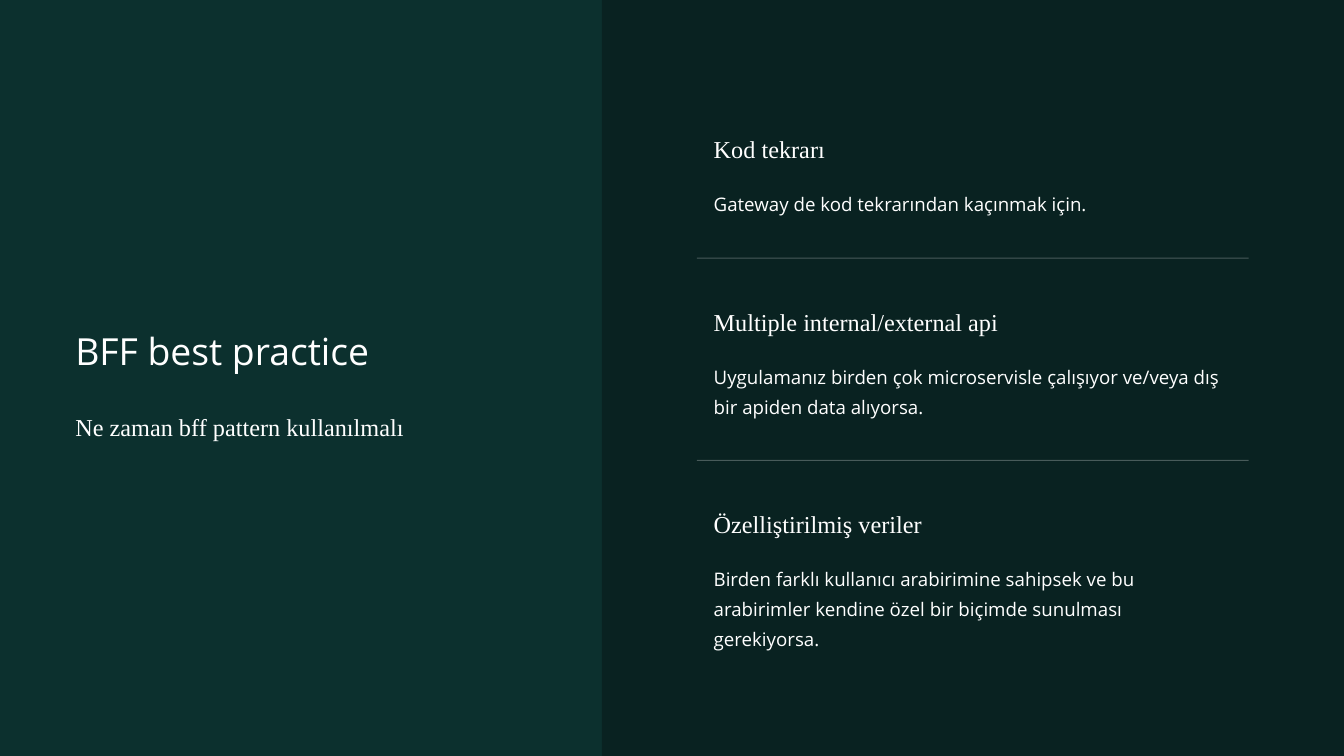
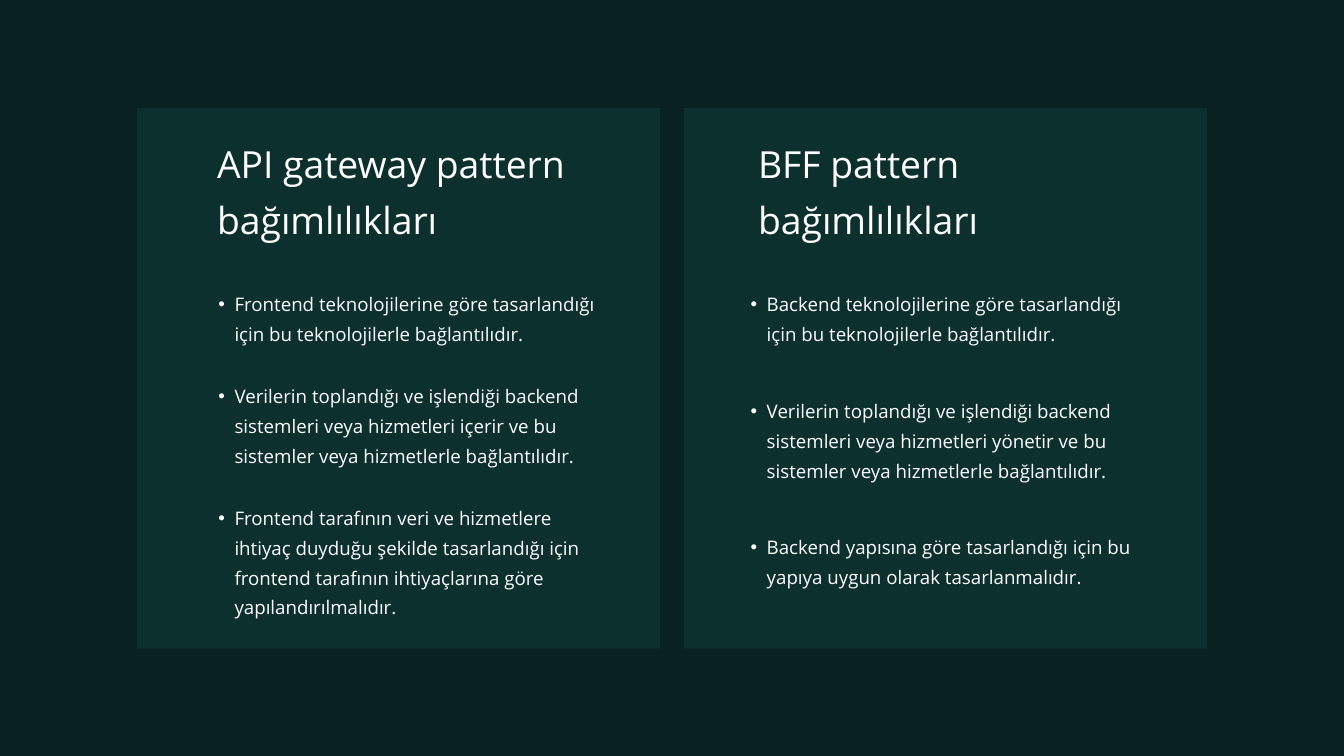
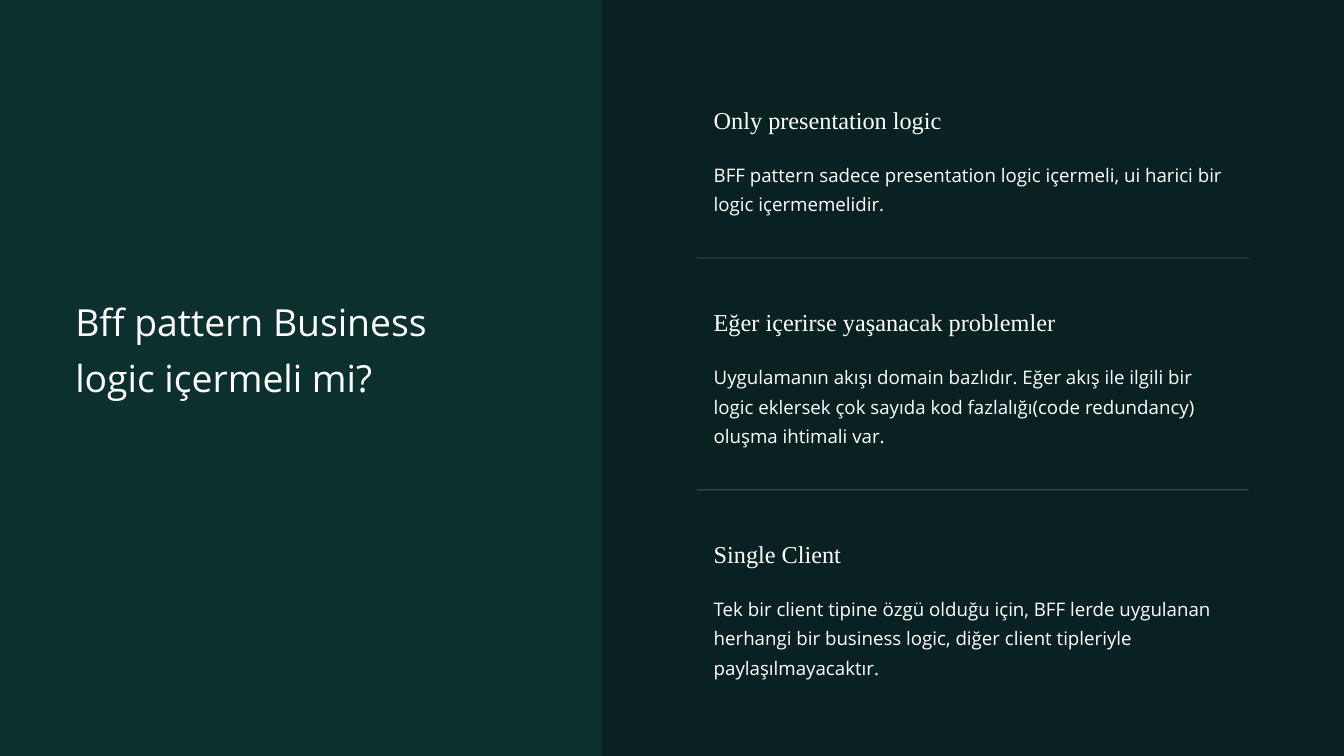
"""Build three slides on the BFF pattern: two split lists and one comparison."""
import dataclasses

import lxml.etree
import pptx
import pptx.dml.color
import pptx.enum.shapes
import pptx.enum.text
import pptx.oxml.ns
import pptx.util

Pt = pptx.util.Pt
qn = pptx.oxml.ns.qn


@dataclasses.dataclass
class Theme:
    dark = pptx.dml.color.RGBColor.from_string("092221")
    green = pptx.dml.color.RGBColor.from_string("0C302E")
    white = pptx.dml.color.RGBColor.from_string("FFFFFF")
    title = ("Open Sans", 40, 60)
    sub = ("Times New Roman", 26, 39)
    head = ("Times New Roman", 26, 36.4)
    body = ("Open Sans", 20, 32)


def panel(slide, left, top, width, height, fill):
    box = slide.shapes.add_shape(pptx.enum.shapes.MSO_SHAPE.RECTANGLE,
                                 Pt(left), Pt(top), Pt(width), Pt(height))
    box.shadow.inherit = False
    box.fill.solid()
    box.fill.fore_color.rgb = fill
    box.line.fill.background()


def write(slide, text, style, left, top, width, height, bullet=False):
    font, size, pitch = style
    frame = slide.shapes.add_textbox(Pt(left), Pt(top), Pt(width), Pt(height)).text_frame
    frame.margin_left = frame.margin_right = frame.margin_top = frame.margin_bottom = 0
    frame.word_wrap = True
    frame.auto_size = pptx.enum.text.MSO_AUTO_SIZE.SHAPE_TO_FIT_TEXT
    para = frame.paragraphs[0]
    para.line_spacing = Pt(pitch)
    if bullet:
        para.level = 1
        props = para._p.get_or_add_pPr()
        props.set("marL", str(Pt(33.84)))
        props.set("indent", str(-Pt(17.28)))
        lxml.etree.SubElement(props, qn("a:buFont")).set("typeface", "Arial")
        lxml.etree.SubElement(props, qn("a:buChar")).set("char", "•")
    run = para.add_run()
    run.text = text
    run.font.name = font
    run.font.size = Pt(size)
    run.font.color.rgb = Theme.white


splits = [
    {"title": ("BFF best practice", 339.12, 55.44),
     "sub": "Ne zaman bff pattern kullanılmalı",
     "top": 138.96,
     "items": [
         ("Kod tekrarı", "Gateway de kod tekrarından kaçınmak için.", 1),
         ("Multiple internal/external api",
          "Uygulamanız birden çok microservisle çalışıyor ve/veya dış bir apiden data alıyorsa.", 2),
         ("Özelliştirilmiş veriler",
          "Birden farklı kullanıcı arabirimine sahipsek ve bu arabirimler kendine özel "
          "bir biçimde sunulması gerekiyorsa.", 3)]},
    {"title": ("Bff pattern Business logic içermeli mi?", 308.88, 115.2),
     "sub": None,
     "top": 107.28,
     "items": [
         ("Only presentation logic",
          "BFF pattern sadece presentation logic içermeli, ui harici bir logic içermemelidir.", 2),
         ("Eğer içerirse yaşanacak problemler",
          "Uygulamanın akışı domain bazlıdır. Eğer akış ile ilgili bir logic eklersek çok "
          "sayıda kod fazlalığı(code redundancy) oluşma ihtimali var.", 3),
         ("Single Client",
          "Tek bir client tipine özgü olduğu için, BFF lerde uygulanan herhangi bir business "
          "logic, diğer client tipleriyle paylaşılmayacaktır.", 3)]},
]

cards = [
    {"left": 146.88, "title": ("API gateway pattern bağımlılıkları", 232.56),
     "list": 217.44, "gap": 38.16,
     "items": [
         ("Frontend teknolojilerine göre tasarlandığı için bu teknolojilerle bağlantılıdır.", 2),
         ("Verilerin toplandığı ve işlendiği backend sistemleri veya hizmetleri içerir ve bu "
          "sistemler veya hizmetlerle bağlantılıdır.", 3),
         ("Frontend tarafının veri ve hizmetlere ihtiyaç duyduğu şekilde tasarlandığı için "
          "frontend tarafının ihtiyaçlarına göre yapılandırılmalıdır.", 4)]},
    {"left": 732.96, "title": ("BFF pattern bağımlılıkları", 812.16),
     "list": 787.68, "gap": 54,
     "items": [
         ("Backend teknolojilerine göre tasarlandığı için bu teknolojilerle bağlantılıdır.", 2),
         ("Verilerin toplandığı ve işlendiği backend sistemleri veya hizmetleri yönetir ve bu "
          "sistemler veya hizmetlerle bağlantılıdır.", 3),
         ("Backend yapısına göre tasarlandığı için bu yapıya uygun olarak tasarlanmalıdır.", 2)]},
]

deck = pptx.Presentation()
deck.slide_width, deck.slide_height = Pt(1440), Pt(810)
first, pair, last = [deck.slides.add_slide(deck.slide_layouts[6]) for _ in range(3)]
for slide, color in ((first, Theme.green), (pair, Theme.dark), (last, Theme.green)):
    slide.background.fill.solid()
    slide.background.fill.fore_color.rgb = color

for slide, split in zip((first, last), splits):
    panel(slide, 645, 0, 795, 810, Theme.dark)
    top = split["top"]
    for row, (head, body, lines) in enumerate(split["items"]):
        if row:
            rule = slide.shapes.add_connector(pptx.enum.shapes.MSO_CONNECTOR.STRAIGHT,
                                              Pt(746.64), Pt(top - 47.5),
                                              Pt(1337.76), Pt(top - 47.5))
            rule.line.width = Pt(1)
            rule.line.color.rgb = Theme.white
            tint = rule._element.spPr.find(".//" + qn("a:srgbClr"))
            lxml.etree.SubElement(tint, qn("a:alpha")).set("val", "25000")
            lxml.etree.SubElement(rule._element.spPr, qn("a:effectLst"))
        write(slide, head, Theme.head, 764.64, top, 555.84, 33.84)
        write(slide, body, Theme.body, 764.64, top + 59.76, 555.84, 31.5 * lines - 2.5)
        top += 153.4 + 31.65 * lines
    if split["sub"]:
        write(slide, split["sub"], Theme.sub, 80.64, 433.44, 469.44, 36)
    title, top, height = split["title"]
    write(slide, title, Theme.title, 80.64, top, 469.44, height)

for card in cards:
    panel(pair, card["left"], 115.92, 560.16, 578.88, Theme.green)
    title, left = card["title"]
    write(pair, title, Theme.title, left, 138.96, 388.08, 118.08)
    top = 306
    for text, lines in card["items"]:
        height = 31.5 * lines - 2.5
        write(pair, text, Theme.body, card["list"], top, 437.04, height, bullet=True)
        top += height + card["gap"]

deck.save("out.pptx")
